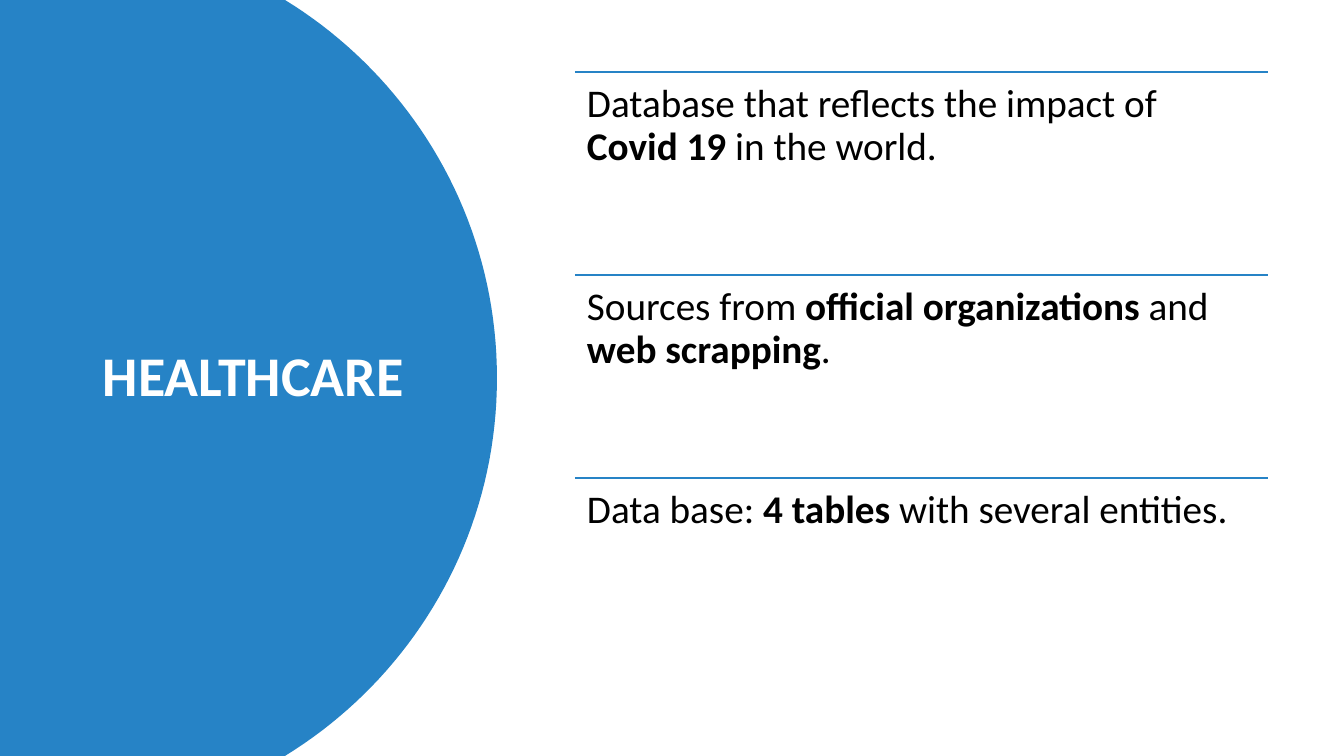
from lxml import etree
from pptx import Presentation
from pptx.dml.color import RGBColor
from pptx.enum.shapes import MSO_CONNECTOR
from pptx.enum.text import MSO_ANCHOR, PP_ALIGN
from pptx.oxml.ns import qn
from pptx.util import Pt

STRAIGHT = MSO_CONNECTOR.STRAIGHT
TOP, MIDDLE = MSO_ANCHOR.TOP, MSO_ANCHOR.MIDDLE
LEFT = PP_ALIGN.LEFT

SCALE = 914400 / 100.8
WIDTH, HEIGHT = 1344, 756
FONT = "Calibri"
BLUE, WHITE, BLACK = "2683C6", "FFFFFF", "000000"

# Each row is a list of (text, bold) runs
ROWS = [
    [("Database that reflects the impact of ", False), ("Covid 19 ", True),
     ("in the world.", False)],
    [("Sources from ", False), ("official organizations ", True),
     ("and ", False), ("web scrapping", True), (".", False)],
    [("Data base: ", False), ("4 tables ", True),
     ("with several entities.", False)],
]
ROW_X, ROW_Y, ROW_W, PITCH = 575, 72, 693, 203


def px(value):
    return round(value * SCALE)


def color(code):
    return RGBColor.from_string(code)


def curve(start, ctrl1, ctrl2, end, steps=40):
    """Points along a cubic curve."""
    points = []
    for step in range(steps + 1):
        t = step / steps
        u = 1 - t
        points.append(tuple(
            u**3 * a + 3 * u * u * t * b + 3 * u * t * t * c + t**3 * d
            for a, b, c, d in zip(start, ctrl1, ctrl2, end)))
    return points


def add_panel(slide):
    upper = curve((285, 0), (412, 78), (497, 218), (497, HEIGHT / 2))
    lower = [(x, HEIGHT - y) for x, y in reversed(upper[:-1])]
    edge = upper + lower + [(0, HEIGHT)]
    draft = slide.shapes.build_freeform(0, 0)
    draft.add_line_segments([(px(x), px(y)) for x, y in edge], close=True)
    panel = draft.convert_to_shape()
    panel.shadow.inherit = False
    panel.fill.solid()
    panel.fill.fore_color.rgb = color(BLUE)
    panel.line.fill.background()


def add_rule(slide, x, y, width):
    rule = slide.shapes.add_connector(
        STRAIGHT, px(x), px(y), px(x + width), px(y))
    rule.line.color.rgb = color(BLUE)
    rule.line.width = Pt(1)
    etree.SubElement(rule.element.spPr, qn("a:effectLst"))


def add_text(slide, box, runs, size, ink, anchor, inset, after=0):
    frame = slide.shapes.add_textbox(*map(px, box)).text_frame
    frame.word_wrap = True
    frame.vertical_anchor = anchor
    frame.margin_left = frame.margin_right = px(inset[0])
    frame.margin_top = frame.margin_bottom = px(inset[1])
    para = frame.paragraphs[0]
    para.alignment = LEFT
    para.line_spacing = 0.9
    para.space_after = Pt(after)
    for text, bold in runs:
        run = para.add_run()
        run.text = text
        run.font.name = FONT
        run.font.size = Pt(size)
        run.font.bold = bold
        run.font.color.rgb = color(ink)


def main():
    deck = Presentation()
    deck.slide_width, deck.slide_height = px(WIDTH), px(HEIGHT)
    slide = deck.slides.add_slide(deck.slide_layouts[6])

    # Title on the round panel
    add_panel(slide)
    add_text(slide, (93, 71, 326, 614), [("HEALTHCARE ", True)],
             40, WHITE, MIDDLE, (10, 5))

    # Ruled rows
    for index, runs in enumerate(ROWS):
        y = ROW_Y + index * PITCH
        add_rule(slide, ROW_X, y, ROW_W)
        add_text(slide, (ROW_X, y, ROW_W, PITCH), runs,
                 28, BLACK, TOP, (12, 12), after=10)

    deck.save("out.pptx")


main()
